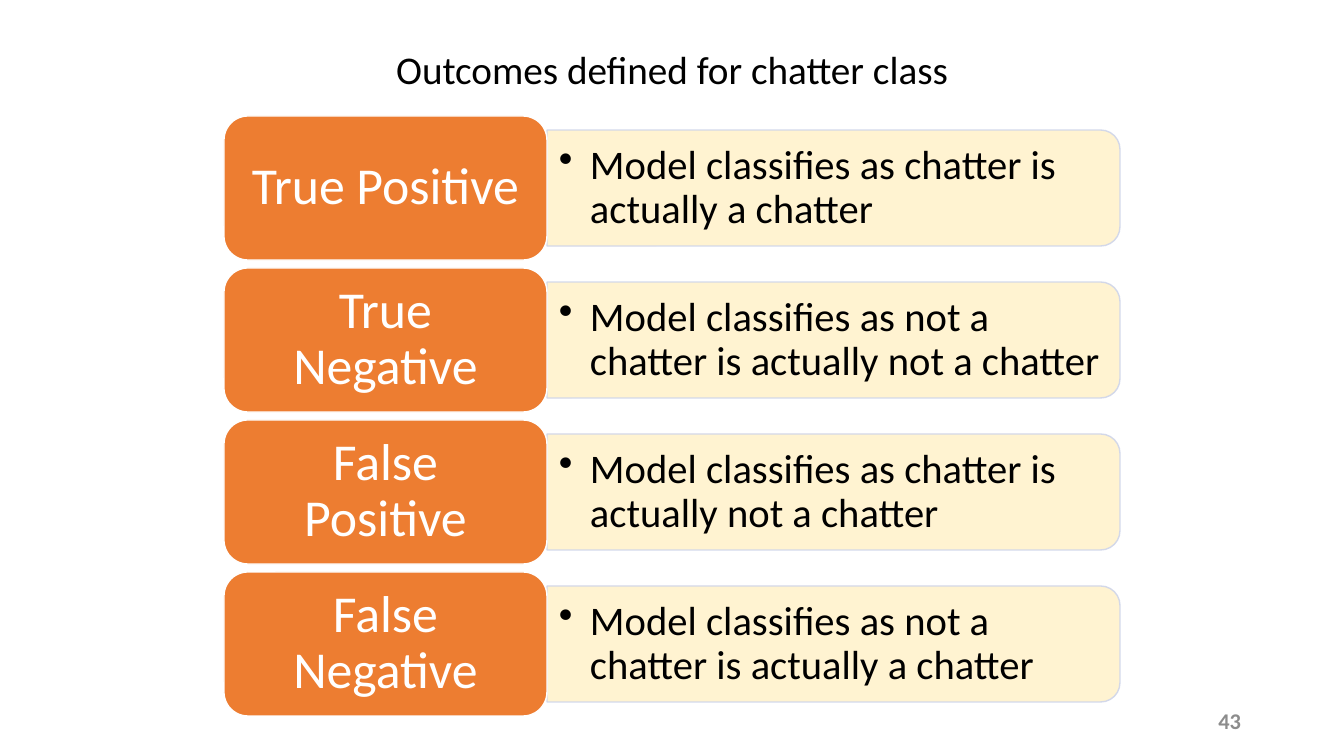
from lxml.etree import SubElement
from pptx import Presentation
from pptx.dml.color import RGBColor
from pptx.enum.shapes import MSO_SHAPE as Preset
from pptx.enum.text import MSO_ANCHOR as Anchor, PP_ALIGN as Align
from pptx.oxml.ns import qn
from pptx.util import Emu, Pt

SLIDE_WIDTH, SLIDE_HEIGHT = 1344, 756
ROW_HEIGHT, ROW_GAP = 144, 8
LABEL_WIDTH = 323
OUTCOMES = [
    ("True Positive", "Model classifies as chatter is actually a chatter"),
    ("True Negative", "Model classifies as not a chatter is actually not a chatter"),
    ("False Positive", "Model classifies as chatter is actually not a chatter"),
    ("False Negative", "Model classifies as not a chatter is actually a chatter"),
]


def px(length):
    return Emu(round(length * 914400 / 100.8))


def box(left, top, width, height):
    return [px(length) for length in (left, top, width, height)]


def color(hex_code):
    return RGBColor.from_string(hex_code)


def write(shape, text, size, hex_code, align, inset=(10, 5), anchor=Anchor.MIDDLE):
    """Fill the shape with one wrapped paragraph and return that paragraph."""
    frame = shape.text_frame
    frame.text = text
    frame.word_wrap = True
    frame.vertical_anchor = anchor
    frame.margin_left = frame.margin_right = px(inset[0])
    frame.margin_top = frame.margin_bottom = px(inset[1])
    paragraph = frame.paragraphs[0]
    paragraph.alignment = align
    font = paragraph.runs[0].font
    font.name, font.size = "Calibri", Pt(size)
    font.color.rgb = color(hex_code)
    return paragraph


def paint(shape, fill, line):
    shape.shadow.inherit = False
    shape.fill.solid()
    shape.fill.fore_color.rgb = color(fill)
    shape.line.color.rgb = color(line)
    shape.line.width = Pt(1)


def set_opacity(shape, percent):
    """Apply the opacity to both the fill and the line."""
    for rgb in shape._element.spPr.iter(qn("a:srgbClr")):
        SubElement(rgb, qn("a:alpha"), val=str(percent * 1000))


def add_bullet(paragraph, indent):
    properties = paragraph._p.get_or_add_pPr()
    properties.set("marL", str(px(indent)))
    properties.set("indent", str(-px(indent)))
    SubElement(properties, qn("a:buChar"), char="•")


def add_description(slide, text, left, top, width, height):
    # The preset rounds its top corners, so a quarter turn rounds the right side.
    card = slide.shapes.add_shape(Preset.ROUND_2_SAME_RECTANGLE, *box(
        left + (width - height) / 2, top + (height - width) / 2, height, width))
    card.rotation = 90
    paint(card, "FFF2CC", "CFD5EA")
    set_opacity(card, 90)
    text_box = slide.shapes.add_textbox(*box(left, top + 6, width - 6, height - 12))
    paragraph = write(text_box, text, 29, "000000", Align.LEFT, (12, 6))
    paragraph.line_spacing = 0.9
    add_bullet(paragraph, 31)


def add_label(slide, text, left, top, width, height):
    label = slide.shapes.add_shape(Preset.ROUNDED_RECTANGLE, *box(left, top, width, height))
    paint(label, "ED7D31", "FFFFFF")
    write(label, text, 37, "FFFFFF", Align.CENTER, (15, 8)).line_spacing = 0.9


def add_outcomes(slide, left, top, width):
    for row, (name, description) in enumerate(OUTCOMES):
        row_top = top + row * (ROW_HEIGHT + ROW_GAP)
        add_description(slide, description, left + LABEL_WIDTH, row_top + 14,
                        width - LABEL_WIDTH, ROW_HEIGHT - 28)
        add_label(slide, name, left, row_top, LABEL_WIDTH, ROW_HEIGHT)


def add_title(slide, text, left, top, width, height):
    title = slide.shapes.title
    title.left, title.top, title.width, title.height = box(left, top, width, height)
    write(title, text, 28, "000000", Align.CENTER, anchor=Anchor.TOP)


def add_page_number(slide, number, left, top, width, height):
    text_box = slide.shapes.add_textbox(*box(left, top, width, height))
    paragraph = write(text_box, number, 16, "8C8C8C", Align.RIGHT)
    paragraph.runs[0].font.bold = True


def main():
    presentation = Presentation()
    presentation.slide_width = px(SLIDE_WIDTH)
    presentation.slide_height = px(SLIDE_HEIGHT)
    slide = presentation.slides.add_slide(presentation.slide_layouts[5])
    add_outcomes(slide, 224, 116, 896)
    add_title(slide, "Outcomes defined for chatter class", 372, 40, 600, 58)
    add_page_number(slide, "43", 1200, 701, 51, 40)
    presentation.save("out.pptx")


if __name__ == "__main__":
    main()
